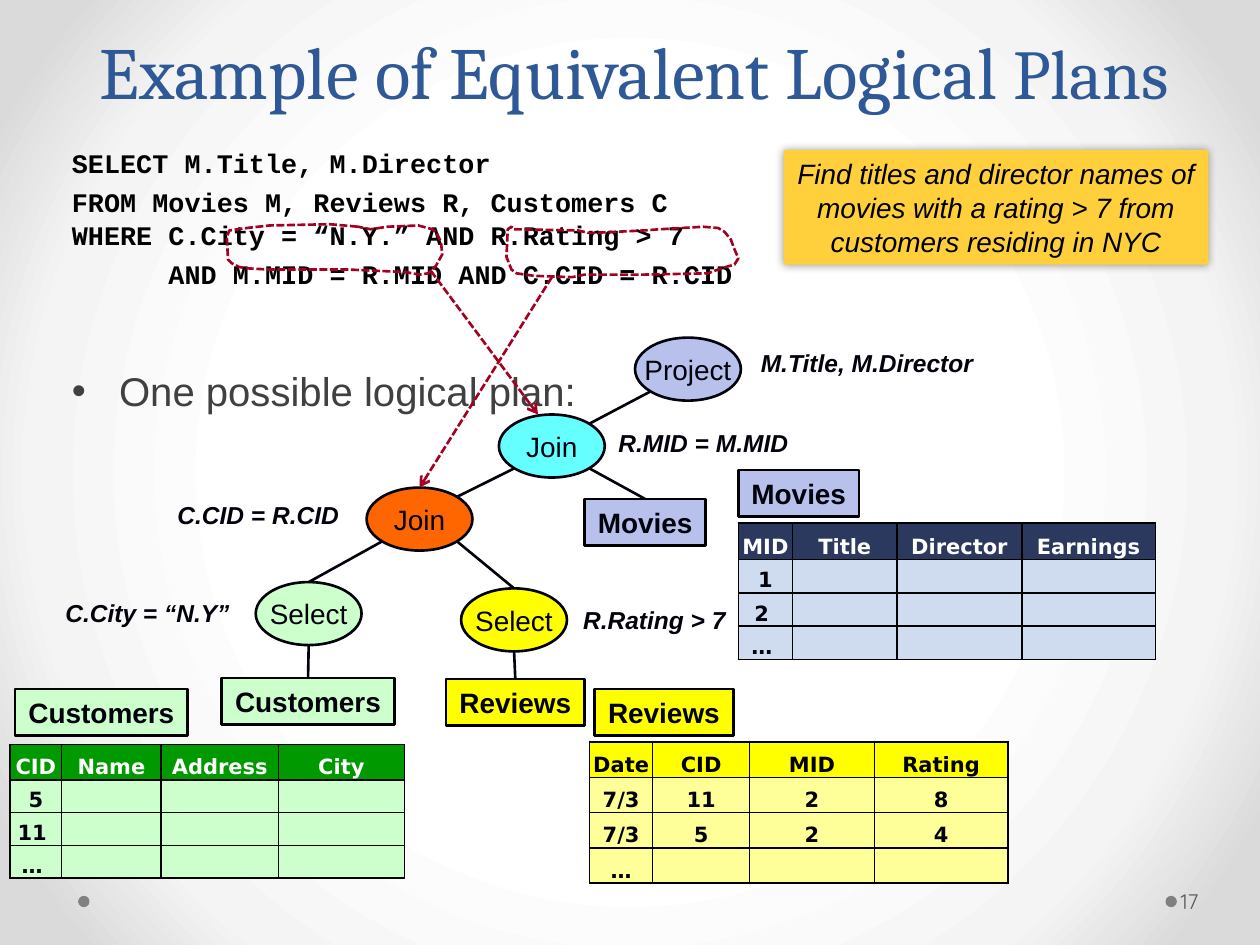
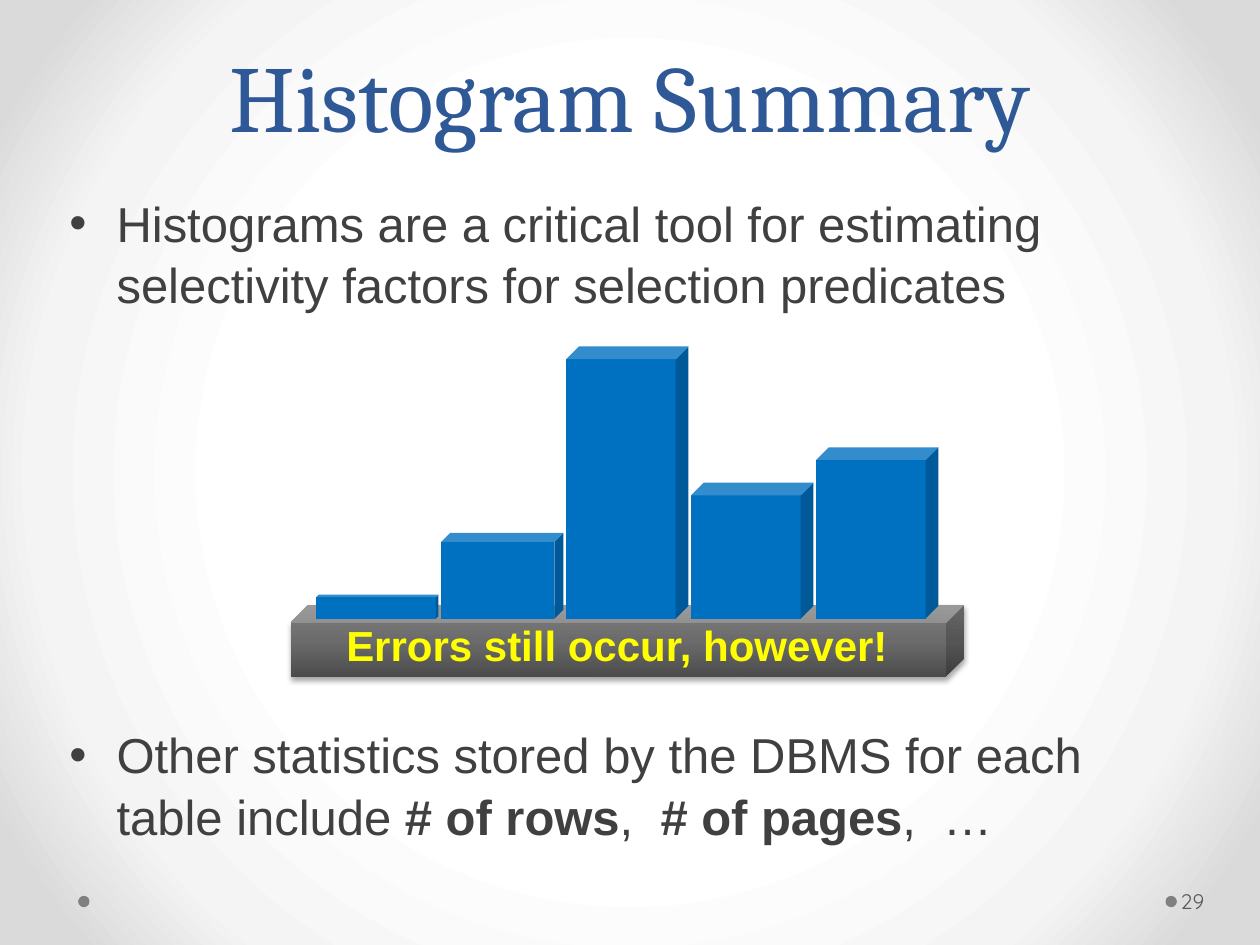
from lxml import etree
from pptx import Presentation
from pptx.dml.color import RGBColor
from pptx.enum.dml import MSO_LINE
from pptx.enum.shapes import MSO_CONNECTOR, MSO_SHAPE
from pptx.enum.text import MSO_ANCHOR, MSO_AUTO_SIZE, PP_ALIGN
from pptx.oxml.ns import qn
from pptx.util import Inches, Pt

OVAL, RECT, CUBE = MSO_SHAPE.OVAL, MSO_SHAPE.RECTANGLE, MSO_SHAPE.CUBE
STRAIGHT = MSO_CONNECTOR.STRAIGHT
DASH = MSO_LINE.SQUARE_DOT
TOP, MIDDLE, BOTTOM = MSO_ANCHOR.TOP, MSO_ANCHOR.MIDDLE, MSO_ANCHOR.BOTTOM
LEFT, CENTER = PP_ALIGN.LEFT, PP_ALIGN.CENTER
FIXED = MSO_AUTO_SIZE.NONE

CELL = Inches(0.1)  # the slide is a grid of 100 columns by 75 rows
INK, BLACK, WHITE = "01020B", "000000", "FFFFFF"
BLUE, GRAY, RED, BAR = "2F5897", "404040", "A50021", "0070C0"
GREEN, YELLOW, LILAC = "CCFFCC", "FFFF00", "B8C1EC"


def tint(code):
    return RGBColor.from_string(code)


def grid(*cells):
    return [round(cell * CELL) for cell in cells]


def child(parent, tag, **attrs):
    return etree.SubElement(parent, qn(tag), {k: str(v) for k, v in attrs.items()})


def grade(parent, stops, angle=None, shape="circle"):
    """Swap the solid fill in parent for a gradient of (place, colour, alpha) stops."""
    solid = parent.find(qn("a:solidFill"))
    grad = etree.Element(qn("a:gradFill"), rotWithShape="1")
    list_ = child(grad, "a:gsLst")
    for place, code, alpha in stops:
        stop = child(list_, "a:gs", pos=place * 1000)
        color = child(stop, "a:srgbClr", val=code)
        if alpha < 100:
            child(color, "a:alpha", val=alpha * 1000)
    if angle is None:
        way = child(grad, "a:path", path=shape)
        child(way, "a:fillToRect", l=50000, t=50000, r=50000, b=50000)
    else:
        child(grad, "a:lin", ang=angle * 60000, scaled=0)
    parent.replace(solid, grad)


def shade(shape, alpha, blur, dist=0, angle=0):
    """Give a shape a soft black outer shadow."""
    effects = shape.element.spPr.find(qn("a:effectLst"))
    outer = child(effects, "a:outerShdw", blurRad=Pt(blur), dist=Pt(dist),
                  dir=angle * 60000, algn="ctr", rotWithShape=0)
    color = child(outer, "a:srgbClr", val=BLACK)
    child(color, "a:alpha", val=alpha * 1000)


def rim(node, dx, dy):
    """Point, in cells, where an oval meets the direction (dx, dy)."""
    reach = 0.5 if 0 in (dx, dy) else 0.354
    x = node.left + node.width * (0.5 + dx * reach)
    y = node.top + node.height * (0.5 + dy * reach)
    return x / CELL, y / CELL


class Deck:
    """Holds the presentation, its style and the current slide."""

    def __init__(self):
        self.prs = Presentation()
        self.prs.slide_width, self.prs.slide_height = grid(100, 75)
        master = self.prs.slide_master
        master.background.fill.solid()
        master.background.fill.fore_color.rgb = tint(WHITE)
        ground = master.element.find(".//" + qn("p:bgPr"))
        grade(ground, [(50, WHITE, 100), (76, "F4F4F4", 100), (92, "DADADA", 100)])

    def start(self, layout, number):
        self.slide = self.prs.slides.add_slide(self.prs.slide_layouts[layout])
        self.shapes = self.slide.shapes
        for x in (92.5, 6.2):
            self.shape(OVAL, (x, 71.1, 0.9, 0.9), "808080")
        box = self.text((93.4, 69.5, 6.1, 4), number, 12, "595959",
                        font="Quicksand", anchor=MIDDLE)
        box.text_frame.margin_left = Inches(0.03)
        box.text_frame.margin_right = Inches(0.05)

    def para(self, frame, text, size, color, font="Arial", bold=False,
             italic=False, align=LEFT, bare=False, before=None, lead=None):
        """Add a paragraph; ** switches bold on and off, bare drops the bullet."""
        first = not frame.text
        p = frame.paragraphs[0] if first else frame.add_paragraph()
        head, *rest = text.split("**")
        p.text = head
        for i, part in enumerate(rest):
            run = p.add_run()
            run.text = part
            run.font.bold = i % 2 == 0
        if bare:
            props = p._p.get_or_add_pPr()
            props.set("marL", "0")
            props.set("indent", "0")
            child(props, "a:buNone")
        p.alignment = align
        if first:
            p.space_before = Pt(0)
        elif before is not None:
            p.space_before = Pt(before)
        if lead:
            p.line_spacing = lead
        f = p.font
        f.name, f.size, f.bold, f.italic = font, Pt(size), bold, italic
        f.color.rgb = tint(color)
        return p

    def hold(self, index, spot, anchor=TOP):
        """Move a placeholder and return its text frame."""
        box = self.slide.placeholders[index]
        box.left, box.top, box.width, box.height = grid(*spot)
        frame = box.text_frame
        frame.auto_size, frame.vertical_anchor, frame.word_wrap = FIXED, anchor, True
        return frame

    def title(self, spot, text, size, tail="", small=None):
        p = self.para(self.hold(0, spot, BOTTOM), text, size, BLUE, "Cambria",
                      align=CENTER, lead=Pt(58))
        if tail:
            run = p.add_run()
            run.text = tail
            run.font.size = Pt(small)

    def text(self, spot, text, size, color, anchor=TOP, **style):
        box = self.shapes.add_textbox(*grid(*spot))
        box.text_frame.word_wrap = True
        box.text_frame.vertical_anchor = anchor
        self.para(box.text_frame, text, size, color, **style)
        return box

    def label(self, spot, text):
        self.text((*spot, 3.4), text, 14, INK, bold=True, italic=True)

    def shape(self, kind, spot, fill, line=None, adj=None):
        shape = self.shapes.add_shape(kind, *grid(*spot))
        shape.shadow.inherit = False
        shape.fill.solid()
        shape.fill.fore_color.rgb = tint(fill)
        if line:
            shape.line.color.rgb = tint(line)
            shape.line.width = Pt(1.5)
        else:
            shape.line.fill.background()
        if adj is not None:
            shape.adjustments[0] = adj
        return shape

    def node(self, kind, spot, text, fill):
        oval = kind == OVAL
        shape = self.shape(kind, spot, fill, INK if oval else BLACK)
        frame = shape.text_frame
        frame.word_wrap, frame.vertical_anchor = False, MIDDLE
        self.para(frame, text, 16, INK, bold=not oval, align=CENTER)
        return shape

    def op(self, x, y, text, fill):
        return self.node(OVAL, (x, y, 8.4, 5), text, fill)

    def source(self, x, y, wide, text, fill):
        return self.node(RECT, (x, y, wide, 3.7), text, fill)

    def line(self, start, end, color=INK, arrow=False):
        line = self.shapes.add_connector(STRAIGHT, *grid(*start, *end))
        line.line.color.rgb = tint(color)
        line.line.width = Pt(1.5)
        if arrow:
            line.line.dash_style = DASH
            child(line.element.spPr.find(qn("a:ln")), "a:tailEnd", type="arrow")
        child(line.element.spPr, "a:effectLst")
        return line

    def link(self, low, high, side, lean=0):
        """Join a node to its parent: side on the parent's foot, lean on its own head."""
        line = self.line(rim(low, lean, -1), rim(high, side, 1))
        if not lean:
            line.begin_connect(low, 0)

    def loop(self, points):
        start, *rest = [grid(*point) for point in points]
        path = self.shapes.build_freeform(*start, scale=1.0)
        path.add_line_segments(rest, close=True)
        shape = path.convert_to_shape()
        shape.shadow.inherit = False
        shape.fill.background()
        shape.line.color.rgb = tint(RED)
        shape.line.width, shape.line.dash_style = Pt(1.5), DASH

    def table(self, spot, cols, highs, rows, head, body, ink):
        """Draw rows of text; head is the fill and ink the text colour of row one."""
        tall = highs[0] + highs[1] * (len(rows) - 1)
        table = self.shapes.add_table(len(rows), len(cols),
                                      *grid(*spot, sum(cols), tall)).table
        table.horz_banding = False
        for col, wide in zip(table.columns, cols):
            col.width = grid(wide)[0]
        for r, row in enumerate(rows):
            table.rows[r].height = grid(highs[min(r, 1)])[0]
            for c in range(len(cols)):
                cell = table.cell(r, c)
                text = row[c] if c < len(row) else ""
                cell.margin_left = cell.margin_right = cell.margin_top = Inches(0.01)
                cell.margin_bottom = 0
                cell.vertical_anchor = BOTTOM
                self.para(cell.text_frame, text, 12, INK if r else ink,
                          "DejaVu Sans", bold=True, align=CENTER)
                props = cell._tc.get_or_add_tcPr()
                for side in "LRTB":
                    edge = child(props, "a:ln" + side, w=Pt(1))
                    child(child(edge, "a:solidFill"), "a:srgbClr", val=BLACK)
                cell.fill.solid()
                cell.fill.fore_color.rgb = tint(body if r else head)


def plans(deck):
    deck.start(1, "17")
    deck.title((2.3, 2.6, 96.1, 7), "Example of Equivalent Logical ", 42, "Plans", 40)
    body = deck.hold(1, (4.7, 11, 92.4, 22.6))
    for text in ("SELECT M.Title, M.Director",
                 "FROM Movies M, Reviews R, Customers C\vWHERE C.City = “N.Y.” AND R.Rating > 7",
                 "      AND M.MID = R.MID AND C.CID = R.CID"):
        deck.para(body, text, 15.3, BLACK, "Courier New", bold=True, bare=True,
                  before=3, lead=1.05)
    deck.para(body, "One possible logical plan:", 22.9, GRAY, before=42, lead=1.05)

    project = deck.op(50.4, 26.8, "Project", LILAC)
    match = deck.op(39.6, 32.9, "Join", "66FFFF")
    join = deck.op(29.1, 38.7, "Join", "FF6600")
    city = deck.op(20.3, 46.2, "Select", GREEN)
    rating = deck.op(36.6, 46.7, "Select", YELLOW)
    movies = deck.source(46.4, 39.6, 9.6, "Movies", LILAC)
    buyers = deck.source(17.6, 53.8, 13.7, "Customers", GREEN)
    reviews = deck.source(35.4, 53.9, 11, "Reviews", YELLOW)
    for low, high, side, lean in ((match, project, -1, 1), (join, match, -1, 1),
                                  (movies, match, 1, 0), (city, join, -1, 0),
                                  (rating, join, 1, 0), (buyers, city, 0, 0),
                                  (reviews, rating, 0, 0)):
        deck.link(low, high, side, lean)
    for spot, text in (((59.4, 27.1, 20.6), "M.Title, M.Director"),
                       ((48.1, 33.5, 17.1), "R.MID = M.MID"),
                       ((13.1, 39.2, 15.1), "C.CID = R.CID"),
                       ((4.2, 47, 16.1), "C.City = “N.Y”"),
                       ((45.3, 47.5, 14.4), "R.Rating > 7")):
        deck.label(spot, text)

    deck.table((58.6, 41.5), (4.3, 8.3, 9.9, 10.6), (2.9, 2.65),
               [("MID", "Title", "Director", "Earnings"), ("1",), ("2 ",), ("… ",)],
               "2C395E", "CFDCF0", WHITE)
    deck.table((0.8, 59.1), (4.1, 7.9, 9.3, 10), (2.8, 2.6),
               [("CID", "Name", "Address", "City"), ("5",), ("11 ",), ("… ",)],
               "009900", GREEN, WHITE)
    deck.table((46.8, 58.9), (5, 7.7, 9.9, 10.6), (2.8, 2.8),
               [("Date", "CID", "MID", "Rating"), ("7/3", "11", "2", "8"),
                ("7/3", "5", "2", "4"), ("…",)], YELLOW, "FFFF99", BLACK)
    deck.source(1.2, 54.7, 13.7, "Customers", GREEN)
    deck.source(47.2, 54.7, 11, "Reviews", YELLOW)
    deck.source(58.6, 37.3, 9.6, "Movies", LILAC)

    goal = deck.shape(RECT, (62.2, 11.9, 33.7, 9.1), "FFD03B")
    shade(goal, 40, 5)
    goal.text_frame.word_wrap = True
    deck.para(goal.text_frame, "Find titles and director names of movies with a rating > 7 "
              "from customers residing in NYC", 16, BLACK, italic=True, align=CENTER)

    deck.loop([(28.4, 18), (26.2, 17.8), (21.4, 17.9), (19.6, 18.1), (18.2, 18.3),
               (18, 18.8), (18.1, 20.6), (18.4, 20.9), (19, 21.2), (19.6, 21.3),
               (21.4, 21.4), (27.7, 21.4), (32.2, 21.6), (33.3, 21.8), (34, 21.7),
               (34.6, 21.1), (35.1, 20.2), (35, 19.2), (34.6, 18.4), (34.3, 18.2),
               (33.2, 17.9), (30.8, 18), (29.4, 18.2)])
    deck.loop([(40.8, 18.2), (45.9, 18.3), (46.8, 18.5), (51, 18.3), (52.4, 18.2),
               (55.8, 18), (57, 18.1), (57.5, 18.4), (58, 19), (58.3, 19.8),
               (58.6, 20.5), (58.3, 21), (57.6, 21.2), (56.7, 21.5), (56.2, 21.7),
               (51, 21.8), (46.4, 21.8), (45.4, 22), (42.4, 21.9), (41, 21.7),
               (40.6, 21.4), (40.2, 20.4), (40.3, 18.2), (40.6, 18)])
    deck.line((34.2, 21.5), (42.7, 32.9), RED, True)
    deck.line((43.8, 22), rim(join, 0, -1), RED, True)


def summary(deck):
    deck.start(3, "29")
    deck.title((5, 2.5, 90, 10), "Histogram Summary", 54)
    for index, top, high, text in (
            (1, 14.6, 10.5, "Histograms are a critical tool for estimating "
                            "selectivity factors for selection predicates"),
            (2, 56.8, 11.5, "Other statistics stored by the DBMS for each table include "
                            "**# of rows**,  **# of pages**,  …")):
        deck.para(deck.hold(index, (4.5, top, 90, high)), text, 28, GRAY, lead=1.05)

    glow = deck.shape(OVAL, (43.4, 51.6, 19.1, 2.3), BLACK)
    grade(glow.element.spPr, [(24, BLACK, 22), (100, WHITE, 0)], shape="shape")
    base = deck.shape(CUBE, (23.1, 48, 53.4, 5.7), "6B6B6B")
    grade(base.element.spPr, [(0, "4C4C4C", 100), (50, "6B6B6B", 100),
                              (100, "808080", 100)], angle=270)
    shade(base, 35, 3.1, 1.8, 90)
    for i, high in enumerate((1.9, 6.8, 21.6, 10.8, 13.6)):
        deck.shape(CUBE, (25.1 + 9.92 * i, 49.1 - high, 9.7, high), BAR, adj=0.104)
    deck.text((26.5, 48.7, 46.3, 5), "Errors still occur, however!", 24, YELLOW, bold=True)


def main():
    deck = Deck()
    plans(deck)
    summary(deck)
    deck.prs.save("out.pptx")


if __name__ == "__main__":
    main()
